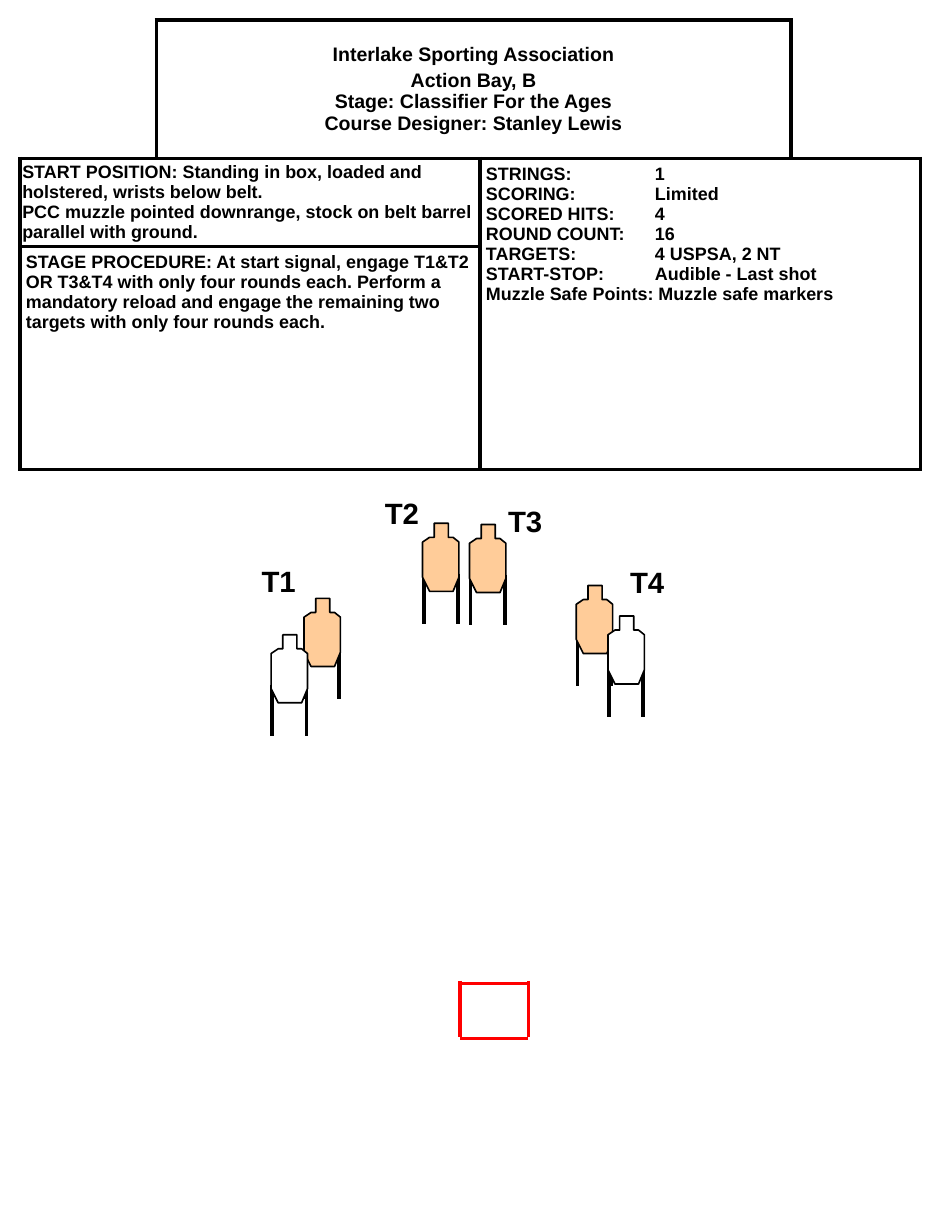
"""Build the stage sheet for a four-target classifier course."""
from lxml import etree
from pptx import Presentation
from pptx.dml.color import RGBColor
from pptx.enum.shapes import MSO_CONNECTOR
from pptx.enum.text import MSO_ANCHOR, MSO_AUTO_SIZE, PP_ALIGN
from pptx.oxml.ns import qn
from pptx.util import Inches, Pt

STRAIGHT = MSO_CONNECTOR.STRAIGHT
MIDDLE, TOP = MSO_ANCHOR.MIDDLE, MSO_ANCHOR.TOP
CENTER, LEFT = PP_ALIGN.CENTER, PP_ALIGN.LEFT
FIT = MSO_AUTO_SIZE.SHAPE_TO_FIT_TEXT

COLORS = {"ink": "000000", "paper": "FFFFFF", "target": "FFCC99", "box": "FF0000"}
FONT = "Arial"
COLUMNS = [1.16, 2.76, 2.65, 1.1]
ROWS = [1.18, 0.75, 1.9]
VALUE_TAB = 1.44
OUTLINE = [(0.1, 0), (0.22, 0), (0.22, 0.12), (0.26, 0.12), (0.31, 0.16), (0.31, 0.46),
           (0.26, 0.58), (0.06, 0.58), (0, 0.46), (0, 0.16), (0.06, 0.12), (0.1, 0.12)]
LEG_OFFSETS = [0.01, 0.3]
LEG_TOP, LEG_BOTTOM = 0.43, 0.86

HEADER = ["Interlake Sporting Association",
          "Action Bay, B\nStage: Classifier For the Ages\nCourse Designer: Stanley Lewis"]
START = ["START POSITION: Standing in box, loaded and holstered, wrists below belt.",
         "PCC muzzle pointed downrange, stock on belt barrel parallel with ground."]
PROCEDURE = ["STAGE PROCEDURE: At start signal, engage T1&T2 OR T3&T4 with only four rounds "
             "each. Perform a mandatory reload and engage the remaining two targets with "
             "only four rounds each."]
FACTS = ["STRINGS:\t1", "SCORING:\tLimited", "SCORED HITS:\t4", "ROUND COUNT:\t16",
         "TARGETS:\t4 USPSA, 2 NT", "START-STOP:\tAudible - Last shot",
         "Muzzle Safe Points: Muzzle safe markers"]
TARGETS = [(4.91, 4.99, "target"), (5.18, 5.25, "paper"), (3.6, 4.46, "target"),
           (4, 4.47, "target"), (2.59, 5.1, "target"), (2.31, 5.41, "paper")]
LABELS = [("T1", 2.13, 4.75), ("T2", 3.18, 4.17), ("T3", 4.23, 4.24), ("T4", 5.27, 4.76)]
BOX_EDGES = [(3.92, 8.38, 4.5, 8.38), (4.5, 8.36, 4.5, 8.84),
             (3.92, 8.36, 3.92, 8.84), (3.92, 8.85, 4.5, 8.85)]


def rgb(name):
    """Return the named colour."""
    return RGBColor.from_string(COLORS[name])


class StageSheet:
    """Holds the text style and the current slide."""

    def __init__(self, page):
        """Keep the slide to draw on."""
        self.page = page

    def add_text(self, frame, texts, size, gap=0, align=LEFT, tab=None):
        """Fill a text frame with bold paragraphs."""
        for index, text in enumerate(texts):
            para = frame.add_paragraph() if index else frame.paragraphs[0]
            para.alignment = align
            if index and gap:
                para.space_before = Pt(gap)
            if tab:
                stops = etree.SubElement(para._p.get_or_add_pPr(), qn("a:tabLst"))
                etree.SubElement(stops, qn("a:tab"), pos=str(Inches(tab)), algn="l")
            for number, line in enumerate(text.split("\n")):
                if number:
                    para.add_line_break()
                span = para.add_run()
                span.text = line
                span.font.name = FONT
                span.font.size = Pt(size)
                span.font.bold = True
                span.font.color.rgb = rgb("ink")

    def border(self, cell, sides):
        """Draw the given sides of a table cell."""
        properties = cell._tc.get_or_add_tcPr()
        for side in sides:
            edge = etree.SubElement(properties, qn(f"a:ln{side}"), w=str(Pt(2.25)))
            fill = etree.SubElement(edge, qn("a:solidFill"))
            etree.SubElement(fill, qn("a:srgbClr"), val=COLORS["ink"])

    def table(self, left, top):
        """Add the bordered grid and return its table."""
        grid = self.page.shapes.add_table(
            len(ROWS), len(COLUMNS), Inches(left), Inches(top),
            Inches(sum(COLUMNS)), Inches(sum(ROWS))).table
        grid.first_row = grid.horz_banding = False
        for column, width in zip(grid.columns, COLUMNS):
            column.width = Inches(width)
        for row, height in zip(grid.rows, ROWS):
            row.height = Inches(height)
        corners = {(0, 0): "RB", (0, len(COLUMNS) - 1): "LB"}
        for row in range(len(ROWS)):
            for column in range(len(COLUMNS)):
                cell = grid.cell(row, column)
                self.border(cell, corners.get((row, column), "LRTB"))
                cell.fill.solid()
                cell.fill.fore_color.rgb = rgb("paper")
        return grid

    def block(self, grid, first, last, texts, size=11, inset=(0.05, 0.05),
              anchor=TOP, **style):
        """Merge a range of cells and fill it with text."""
        cell = grid.cell(*first)
        cell.merge(grid.cell(*last))
        cell.margin_left = cell.margin_right = Inches(inset[0])
        cell.margin_top = cell.margin_bottom = Inches(inset[1])
        cell.vertical_anchor = anchor
        self.add_text(cell.text_frame, texts, size, **style)

    def line(self, shapes, ends, color, width):
        """Add a straight line without shadow."""
        connector = shapes.add_connector(STRAIGHT, *[Inches(value) for value in ends])
        connector.line.color.rgb = rgb(color)
        connector.line.width = Pt(width)
        etree.SubElement(connector._element.spPr, qn("a:effectLst"))

    def target(self, left, top, color):
        """Add a silhouette on two legs as a group."""
        shapes = self.page.shapes.add_group_shape().shapes
        for offset in LEG_OFFSETS:
            x = left + offset
            self.line(shapes, (x, top + LEG_TOP, x, top + LEG_BOTTOM), "ink", 2.25)
        points = [(Inches(left + x), Inches(top + y)) for x, y in OUTLINE]
        builder = shapes.build_freeform(*points[0])
        builder.add_line_segments(points[1:], close=True)
        body = builder.convert_to_shape()
        body.shadow.inherit = False
        body.fill.solid()
        body.fill.fore_color.rgb = rgb(color)
        body.line.color.rgb = rgb("ink")
        body.line.width = Pt(1)

    def start_box(self):
        """Add the marked shooting box as a group."""
        shapes = self.page.shapes.add_group_shape().shapes
        for ends in BOX_EDGES:
            self.line(shapes, ends, "box", 2)

    def label(self, text, left, top):
        """Add a target label."""
        box = self.page.shapes.add_textbox(Inches(left), Inches(top), Inches(0.58), Inches(0.4))
        box.text_frame.word_wrap = True
        box.text_frame.auto_size = FIT
        self.add_text(box.text_frame, [text], 18)


def main():
    """Create and save the deck."""
    deck = Presentation()
    deck.slide_width, deck.slide_height = Inches(8), Inches(10.5)
    sheet = StageSheet(deck.slides.add_slide(deck.slide_layouts[6]))
    grid = sheet.table(0.17, 0.17)
    sheet.block(grid, (0, 1), (0, 2), HEADER, size=12, anchor=MIDDLE, gap=2.4, align=CENTER)
    sheet.block(grid, (1, 0), (1, 1), START, inset=(0.02, 0.03), gap=0.55)
    sheet.block(grid, (1, 2), (2, 3), FACTS, tab=VALUE_TAB)
    sheet.block(grid, (2, 0), (2, 1), PROCEDURE)
    sheet.start_box()
    for target in TARGETS:
        sheet.target(*target)
    for label in LABELS:
        sheet.label(*label)
    deck.save("out.pptx")


if __name__ == "__main__":
    main()
